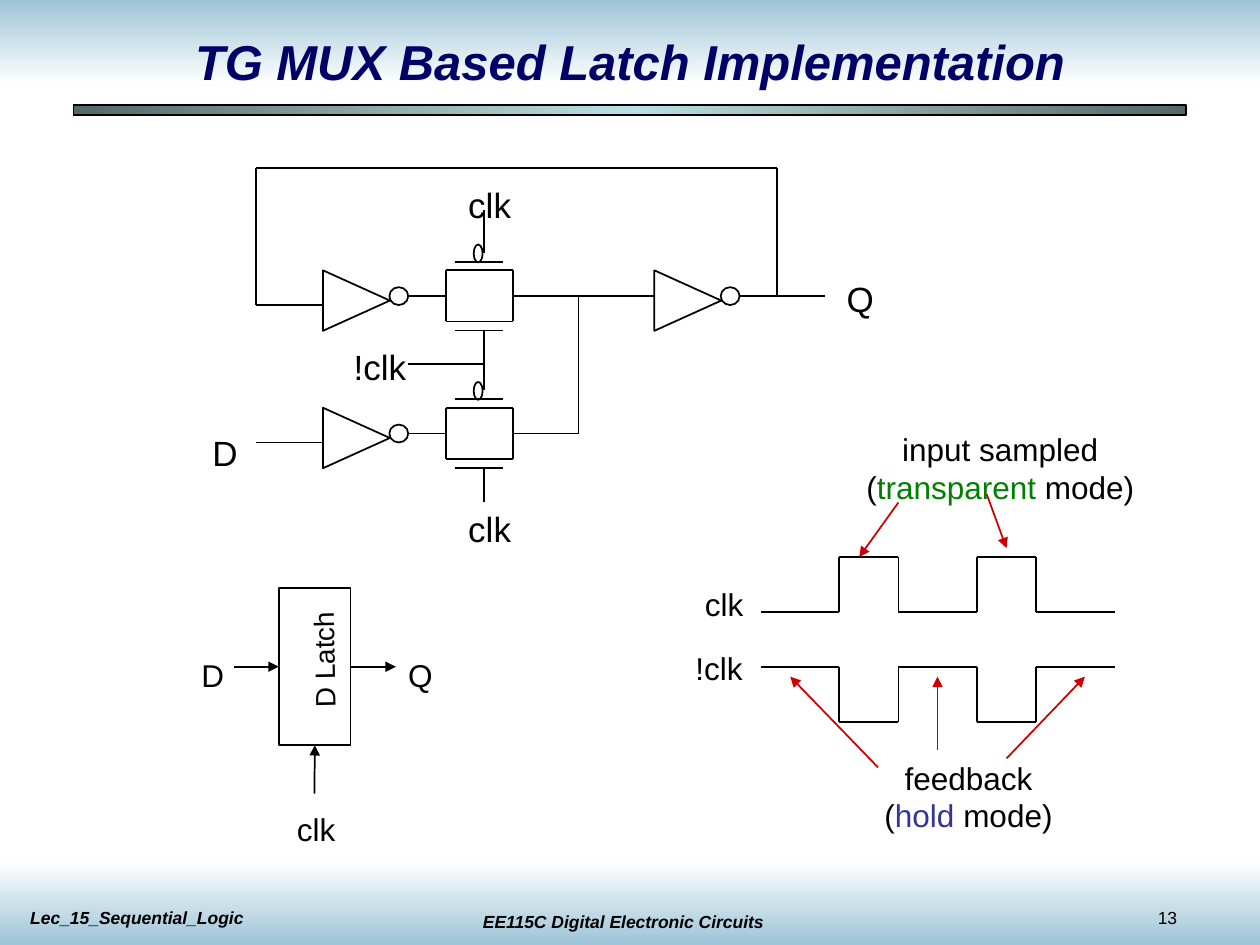
from copy import deepcopy
from dataclasses import dataclass
from itertools import pairwise

from lxml import etree
from pptx import Presentation
from pptx.dml.color import RGBColor
from pptx.enum.shapes import MSO_CONNECTOR, MSO_SHAPE
from pptx.enum.text import MSO_ANCHOR, MSO_AUTO_SIZE, PP_ALIGN
from pptx.oxml.ns import qn
from pptx.util import Cm, Pt

STRAIGHT = MSO_CONNECTOR.STRAIGHT
RECTANGLE, OVAL, TRIANGLE = MSO_SHAPE.RECTANGLE, MSO_SHAPE.OVAL, MSO_SHAPE.ISOSCELES_TRIANGLE
LEFT, CENTER = PP_ALIGN.LEFT, PP_ALIGN.CENTER
MIDDLE = MSO_ANCHOR.MIDDLE
GROW = MSO_AUTO_SIZE.SHAPE_TO_FIT_TEXT
LEFT_SIDE, BOTTOM_SIDE, RIGHT_SIDE = 1, 2, 3

Point = tuple[float, float]


@dataclass(frozen=True)
class Theme:
    font: str = "Arial"
    ink: str = "000000"
    title: str = "000066"
    arrow: str = "CC0000"
    transparent: str = "008000"
    hold: str = "333399"
    band: str = "9DC4D7"
    paper: str = "FFFFFF"
    rule_dark: str = "566768"
    rule_light: str = "BBE0E3"
    title_size: float = 28
    circuit_size: float = 20
    label_size: float = 18
    latch_size: float = 16
    footer_size: float = 10
    stroke: float = 1
    rule_stroke: float = 0.75


THEME = Theme()


@dataclass(frozen=True)
class Span:
    text: str
    color: str = THEME.ink


@dataclass(frozen=True)
class Label:
    left: float
    top: float
    width: float
    height: float
    lines: tuple[tuple[Span, ...], ...]
    size: float = THEME.label_size
    align: PP_ALIGN = LEFT
    turn: float = 0
    wrap: bool = False
    strong: bool = False


def one(text: str) -> tuple[tuple[Span, ...], ...]:
    """Wrap a plain text as a label of one line."""
    return ((Span(text),),)


def add_label(page, label: Label) -> None:
    box = page.shapes.add_textbox(Cm(label.left), Cm(label.top), Cm(label.width), Cm(label.height))
    box.rotation = label.turn
    frame = box.text_frame
    frame.word_wrap = label.wrap
    frame.auto_size = GROW
    for index, line in enumerate(label.lines):
        para = frame.add_paragraph() if index else frame.paragraphs[0]
        para.alignment = label.align
        para.font.name = THEME.font
        para.font.size = Pt(label.size)
        para.font.bold = para.font.italic = label.strong
        for span in line:
            run = para.add_run()
            run.text = span.text
            run.font.color.rgb = RGBColor.from_string(span.color)


def add_outline(page, kind, left: float, top: float, width: float, height: float):
    shape = page.shapes.add_shape(kind, Cm(left), Cm(top), Cm(width), Cm(height))
    shape.shadow.inherit = False
    shape.fill.background()
    shape.line.color.rgb = RGBColor.from_string(THEME.ink)
    shape.line.width = Pt(THEME.stroke)
    return shape


def add_gradient_bar(page, left: float, top: float, width: float, height: float,
                     colors: tuple[str, ...], angle: float):
    bar = add_outline(page, RECTANGLE, left, top, width, height)
    bar.fill.gradient()
    bar.fill.gradient_angle = angle
    stops = bar.element.find(".//" + qn("a:gsLst"))
    while len(stops) < len(colors):
        stops.append(deepcopy(stops[0]))
    for index, (stop, color) in enumerate(zip(bar.fill.gradient_stops, colors)):
        stop.position = index / (len(colors) - 1)
        stop.color.rgb = RGBColor.from_string(color)
    return bar


def add_wire(page, start: Point, end: Point, color: str = THEME.ink, arrow: bool = False):
    wire = page.shapes.add_connector(STRAIGHT, *(Cm(value) for value in start + end))
    wire.line.color.rgb = RGBColor.from_string(color)
    wire.line.width = Pt(THEME.stroke)
    if arrow:
        etree.SubElement(wire.get_or_add_ln(), qn("a:tailEnd"), type="triangle")
    etree.SubElement(wire.element.spPr, qn("a:effectLst"))
    return wire


def add_path(page, *points: Point) -> None:
    """Join successive points with straight wires."""
    for start, end in pairwise(points):
        add_wire(page, start, end)


def add_inverter(page, left: float, axis: float) -> None:
    width, height = 1.22, 1.35  # before the quarter turn
    body = add_outline(page, TRIANGLE, left + (height - width) / 2,
                       axis + 0.09 - height / 2, width, height)
    body.rotation = 90
    add_outline(page, OVAL, left + 1.34, axis - 0.18, 0.38, 0.36)


def add_transmission_gate(page, axis: float) -> None:
    left, right, top, bottom = 8.99, 10.34, axis - 0.52, axis + 0.51
    add_path(page, (left, top), (right, top), (right, bottom), (left, bottom), (left, top))
    for bar in (axis - 0.69, axis + 0.69):
        add_wire(page, (9.17, bar), (10.13, bar))
    add_wire(page, (8.23, axis), (left, axis))
    add_wire(page, (right, axis), (11.1, axis))
    add_outline(page, OVAL, 9.55, axis - 1.04, 0.18, 0.36)


def add_wave(page, idle: float, pulse: float) -> None:
    """Draw a clock that rests at idle and moves to pulse twice."""
    times = (15.34, 16.92, 18.11, 19.69, 20.88, 22.48)
    points = []
    for index, span in enumerate(pairwise(times)):
        points += [(time, pulse if index % 2 else idle) for time in span]
    add_path(page, *points)


def add_frame(page) -> None:
    for top, colors in ((0, (THEME.band, THEME.paper)), (17.35, (THEME.paper, THEME.band))):
        add_gradient_bar(page, 0, top, 25.4, 1.7, colors, 270).line.fill.background()
    rule = add_gradient_bar(page, 1.48, 2.12, 22.43, 0.2,
                            (THEME.rule_dark, THEME.rule_light, THEME.rule_dark), 0)
    rule.line.width = Pt(THEME.rule_stroke)
    size = THEME.footer_size
    add_label(page, Label(8.97, 18.24, 7.19, 0.69, one("EE115C Digital Electronic Circuits"),
                          size, CENTER, wrap=True, strong=True))
    add_label(page, Label(23.09, 18.16, 2.11, 0.69, one("13"), size))
    add_label(page, Label(0.36, 18.16, 7.19, 0.69, one("Lec_15_Sequential_Logic"),
                          size, wrap=True, strong=True))


def add_title(page, text: str) -> None:
    """Fill the title and bring it in front of the top band."""
    title = page.shapes.title
    title.element.getparent().append(title.element)
    title.left, title.top, title.width, title.height = Cm(1.27), Cm(0.43), Cm(22.86), Cm(1.6)
    title.text_frame.text = text
    title.text_frame.vertical_anchor = MIDDLE
    para = title.text_frame.paragraphs[0]
    para.alignment = CENTER
    para.font.name = THEME.font
    para.font.size = Pt(THEME.title_size)
    para.font.bold = para.font.italic = True
    para.font.color.rgb = RGBColor.from_string(THEME.title)


def add_circuit(page) -> None:
    upper, lower, clock = 5.97, 8.74, 9.75
    for left, axis in ((6.51, upper), (6.51, lower), (13.19, upper)):
        add_inverter(page, left, axis)
    for axis in (upper, lower):
        add_transmission_gate(page, axis)
    for top, bottom in ((4.24, 5.11), (6.65, 7.87), (9.43, 10.11)):
        add_wire(page, (clock, top), (clock, bottom))
    add_wire(page, (8.23, 7.34), (clock, 7.34))
    add_path(page, (11.1, lower), (11.66, lower), (11.66, upper))
    add_wire(page, (10.9, upper), (13.18, upper))
    add_wire(page, (14.91, upper), (16.64, upper))
    add_wire(page, (5.16, 8.92), (6.5, 8.92))
    add_path(page, (6.5, 6.15), (5.16, 6.15), (5.16, 3.38), (15.67, 3.38), (15.67, upper))
    for left, top, width, text in ((16.82, 5.46, 1.06, "Q"), (4.03, 8.57, 1.04, "D"),
                                   (9.19, 10.11, 1.4, "clk"), (9.19, 3.57, 1.4, "clk"),
                                   (6.88, 6.84, 1.65, "!clk")):
        add_label(page, Label(left, top, width, 1.12, one(text), THEME.circuit_size))


def add_timing(page) -> None:
    add_wave(page, 12.34, 11.23)
    add_wave(page, 13.44, 14.55)
    add_label(page, Label(13.96, 11.66, 1.37, 1.02, one("clk")))
    add_label(page, Label(13.77, 12.95, 1.55, 1.02, one("!clk")))
    for left, top, width, heading, mode, color in (
            (17.16, 8.54, 6.01, "input sampled", "transparent", THEME.transparent),
            (17.52, 15.17, 4.01, "feedback", "hold", THEME.hold)):
        lines = ((Span(heading),), (Span("("), Span(mode, color), Span(" mode)")))
        add_label(page, Label(left, top, width, 1.78, lines, align=CENTER))
    for start, end in (((18.11, 10.13), (17.32, 11.23)), ((19.89, 9.96), (20.29, 11.05)),
                       ((18.9, 15.11), (18.9, 13.64)), ((20.29, 15.29), (21.87, 13.64)),
                       ((17.7, 15.47), (15.93, 13.64))):
        add_wire(page, start, end, THEME.arrow, arrow=True)


def add_latch_symbol(page) -> None:
    latch = add_outline(page, RECTANGLE, 5.62, 11.86, 1.45, 3.16)
    add_label(page, Label(5.28, 12.83, 2.5, 0.94, one("D Latch"),
                          THEME.latch_size, CENTER, turn=268.9))
    add_wire(page, (6.34, 16), (6.34, 15.02), arrow=True).end_connect(latch, BOTTOM_SIDE)
    add_wire(page, (4.72, 13.44), (5.62, 13.44), arrow=True).end_connect(latch, LEFT_SIDE)
    add_wire(page, (7.07, 13.44), (7.98, 13.44), arrow=True).begin_connect(latch, RIGHT_SIDE)
    add_label(page, Label(5.69, 16.21, 1.37, 1.02, one("clk"), align=CENTER))
    add_label(page, Label(7.98, 13.11, 1.01, 1.02, one("Q")))
    add_label(page, Label(3.81, 13.11, 0.99, 1.02, one("D")))


def main() -> None:
    deck = Presentation()
    deck.slide_width, deck.slide_height = Cm(25.4), Cm(19.05)
    page = deck.slides.add_slide(deck.slide_layouts[5])
    add_frame(page)
    add_title(page, "TG MUX Based Latch Implementation")
    add_circuit(page)
    add_timing(page)
    add_latch_symbol(page)
    deck.save("out.pptx")


if __name__ == "__main__":
    main()
